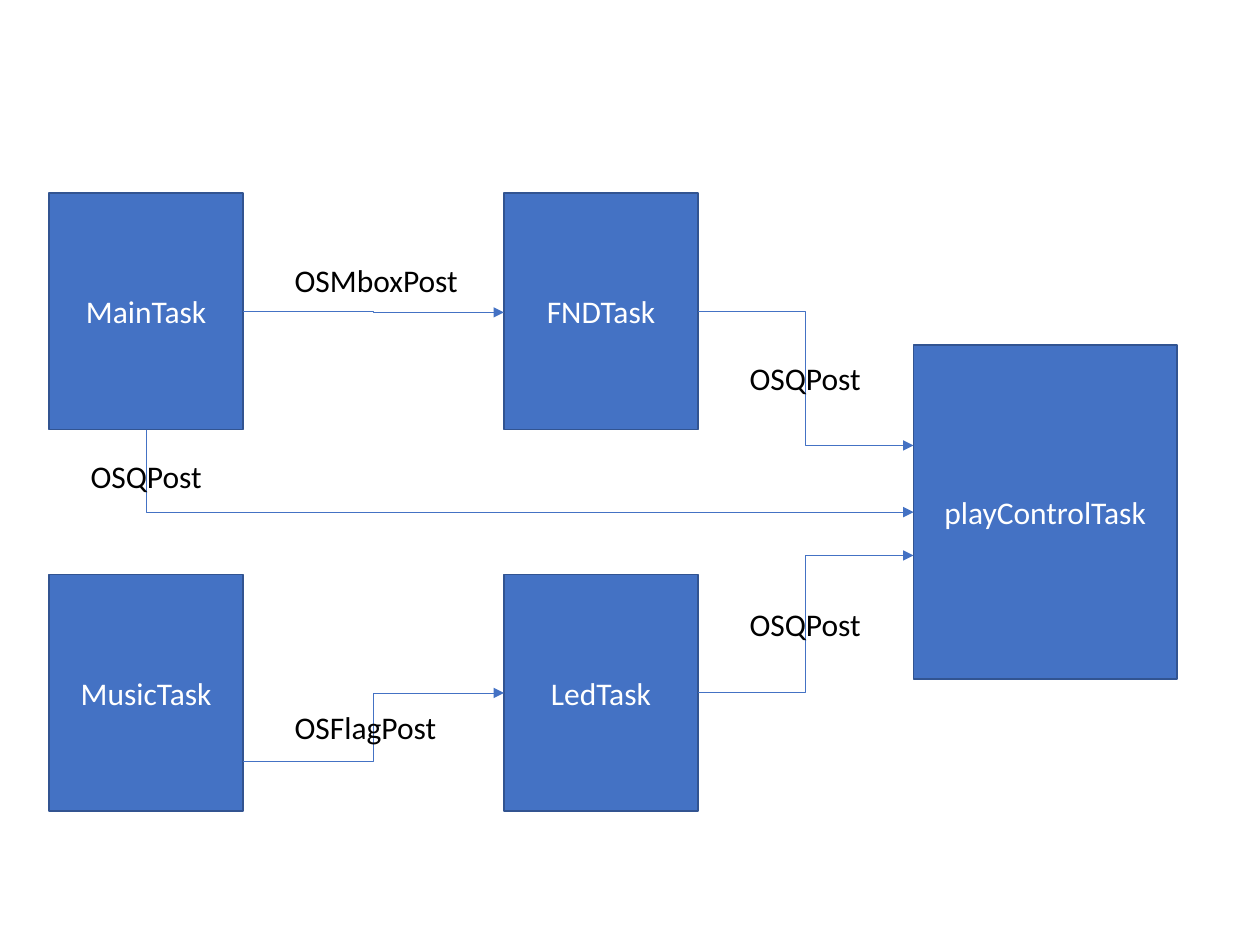
from typing import NamedTuple

from lxml.etree import SubElement
from pptx import Presentation
from pptx.dml.color import RGBColor
from pptx.enum.shapes import MSO_CONNECTOR, MSO_SHAPE
from pptx.enum.text import MSO_ANCHOR, MSO_AUTO_SIZE, PP_ALIGN
from pptx.oxml.ns import qn
from pptx.util import Inches, Pt

BLUE = RGBColor(0x44, 0x72, 0xC4)
NAVY = RGBColor(0x32, 0x54, 0x91)
WHITE = RGBColor(0xFF, 0xFF, 0xFF)
BLACK = RGBColor(0, 0, 0)
FONT = "Calibri"

# Grid of task boxes, in inches
COLS = (0.39, 4, 7.25)
ROWS = (1.53, 4.56)
WIDE, HIGH = 1.54, 1.88


class Task(NamedTuple):
    name: str
    left: float
    top: float
    wide: float = WIDE
    high: float = HIGH

    @property
    def right(self) -> float:
        return self.left + self.wide

    def down(self, share: float = 0.5) -> float:
        return self.top + self.high * share


class Label(NamedTuple):
    text: str
    left: float
    top: float
    wide: float


MAIN = Task("MainTask", COLS[0], ROWS[0])
FND = Task("FNDTask", COLS[1], ROWS[0])
MUSIC = Task("MusicTask", COLS[0], ROWS[1])
LED = Task("LedTask", COLS[1], ROWS[1])
PLAY = Task("playControlTask", COLS[2], 2.74, 2.09, 2.65)
TASKS = (MAIN, LED, FND, PLAY, MUSIC)

# Source, share down its side, target, share down its side
LINKS = (
    (MAIN, 0.5, FND, 0.505),
    (MUSIC, 0.79, LED, 0.5),
    (FND, 0.5, PLAY, 0.3),
    (LED, 0.5, PLAY, 0.63),
)

LABELS = (
    Label("OSMboxPost", 2.24, 2.02, 1.51),
    Label("OSFlagPost", 2.24, 5.57, 1.34),
    Label("OSQPost", 5.85, 2.8, 1.09),
    Label("OSQPost", 5.85, 4.75, 1.09),
    Label("OSQPost", 0.62, 3.58, 1.09),
)


def style(frame, text: str, color: RGBColor) -> None:
    frame.text = text
    font = frame.paragraphs[0].font
    font.name, font.size = FONT, Pt(18)
    font.color.rgb = color


def draw_task(slide, task: Task) -> None:
    box = slide.shapes.add_shape(MSO_SHAPE.RECTANGLE, *map(Inches, task[1:]))
    box.shadow.inherit = False
    box.fill.solid()
    box.fill.fore_color.rgb = BLUE
    box.line.color.rgb = NAVY
    box.line.width = Pt(1)
    style(box.text_frame, task.name, WHITE)
    box.text_frame.vertical_anchor = MSO_ANCHOR.MIDDLE
    box.text_frame.paragraphs[0].alignment = PP_ALIGN.CENTER


def draw_link(slide, x1: float, y1: float, x2: float, y2: float):
    link = slide.shapes.add_connector(
        MSO_CONNECTOR.ELBOW, *map(Inches, (x1, y1, x2, y2)))
    link.line.color.rgb = BLUE
    link.line.width = Pt(0.5)
    SubElement(link.line._get_or_add_ln(), qn("a:tailEnd"), type="triangle")
    SubElement(link.element.spPr, qn("a:effectLst"))
    return link


def draw_corner(slide, x1: float, y1: float, x2: float, y2: float) -> None:
    """Run down, then right: a one-bend link, mirrored and turned by 270°."""
    midx, midy = (x1 + x2) / 2, (y1 + y2) / 2
    dx, dy = (y2 - y1) / 2, (x2 - x1) / 2
    link = draw_link(slide, midx + dx, midy - dy, midx - dx, midy + dy)
    props = link.element.spPr
    props.find(qn("a:xfrm")).set("rot", str(270 * 60000))
    props.find(qn("a:prstGeom")).set("prst", "bentConnector2")


def draw_label(slide, label: Label) -> None:
    box = slide.shapes.add_textbox(
        *map(Inches, (label.left, label.top, label.wide, 0.4)))
    style(box.text_frame, label.text, BLACK)
    box.text_frame.word_wrap = False
    box.text_frame.auto_size = MSO_AUTO_SIZE.SHAPE_TO_FIT_TEXT


def main() -> None:
    deck = Presentation()
    deck.slide_width, deck.slide_height = Inches(10), Inches(7.5)
    slide = deck.slides.add_slide(deck.slide_layouts[6])

    # Task boxes
    for task in TASKS:
        draw_task(slide, task)

    # Messages between tasks
    for src, out, dest, into in LINKS:
        draw_link(slide, src.right, src.down(out), dest.left, dest.down(into))
    draw_corner(slide, MAIN.left + WIDE / 2, MAIN.down(1),
                PLAY.left, PLAY.down())

    # Names of the calls
    for label in LABELS:
        draw_label(slide, label)

    deck.save("out.pptx")


if __name__ == "__main__":
    main()
